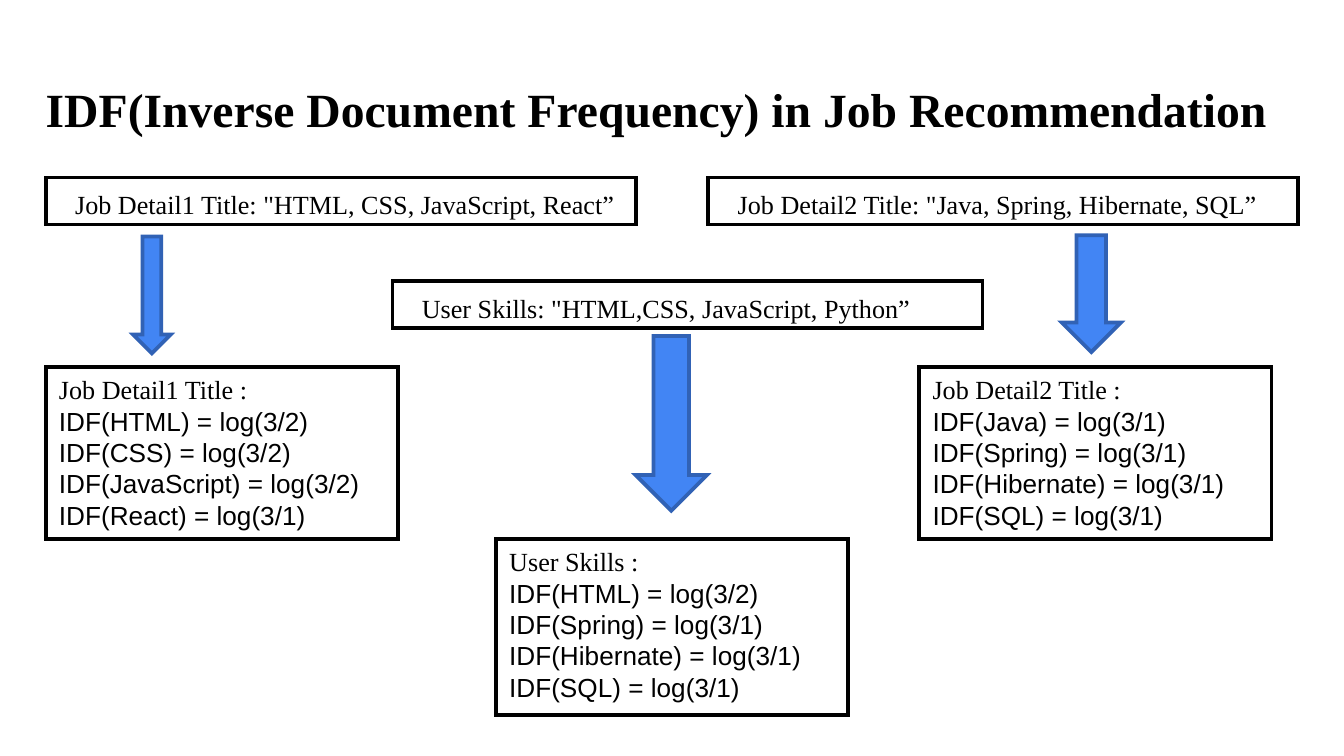
from lxml.etree import SubElement
from pptx import Presentation
from pptx.dml.color import RGBColor
from pptx.enum.shapes import MSO_SHAPE as Preset
from pptx.enum.text import MSO_ANCHOR as Anchor, MSO_AUTO_SIZE as AutoSize, PP_ALIGN as Align
from pptx.oxml.ns import qn
from pptx.util import Inches, Pt

COLORS = {"text": "000000", "paper": "FFFFFF", "arrow": "4285F4", "arrow_edge": "3162B5"}
SERIF, SANS = "Times New Roman", "Arial"
MARGIN = 0.34
HEADER_WIDTH, HEADER_HEIGHT = 4.39, 0.35
DETAIL_WIDTH = 2.62


class SlideBuilder:
    def __init__(self, slide):
        self.slide = slide

    def color(self, name):
        return RGBColor.from_string(COLORS[name])

    def style_text(self, paragraph, text, font_name, size=14, bold=False):
        paragraph.text = text
        paragraph.alignment = Align.LEFT
        font = paragraph.font
        font.name, font.size, font.bold = font_name, Pt(size), bold
        font.color.rgb = self.color("text")

    def title(self, text):
        shape = self.slide.shapes.title
        shape.left, shape.top = Inches(MARGIN), Inches(0.49)
        shape.width, shape.height = Inches(9.32), Inches(0.63)
        frame = shape.text_frame
        frame.margin_left = frame.margin_right = 0
        frame.margin_top = frame.margin_bottom = Inches(0.1)
        frame.vertical_anchor = Anchor.MIDDLE
        frame.word_wrap = True
        self.style_text(frame.paragraphs[0], text, SERIF, 25.5, True)

    def shape(self, preset, left, top, width, height, fill, line):
        shape = self.slide.shapes.add_shape(
            preset, Inches(left), Inches(top), Inches(width), Inches(height))
        shape.shadow.inherit = False
        shape.fill.solid()
        shape.fill.fore_color.rgb = self.color(fill)
        shape.line.color.rgb = self.color(line)
        shape.line.width = Pt(2)
        SubElement(shape.element.spPr.find(qn("a:ln")), qn("a:miter"), lim="800000")
        return shape

    def box(self, left, top, width, height):
        frame = self.shape(Preset.RECTANGLE, left, top, width, height, "paper", "text").text_frame
        frame.word_wrap = True
        frame.auto_size = AutoSize.SHAPE_TO_FIT_TEXT
        frame.vertical_anchor = Anchor.TOP
        return frame

    def header(self, left, top, text):
        paragraph = self.box(left, top, HEADER_WIDTH, HEADER_HEIGHT).paragraphs[0]
        self.style_text(paragraph, text, SERIF)
        paragraph.line_spacing = 1.15
        paragraph._p.get_or_add_pPr().set("marL", str(Inches(0.12)))

    def detail(self, left, top, height, heading, *formulas):
        frame = self.box(left, top, DETAIL_WIDTH, height)
        self.style_text(frame.paragraphs[0], heading, SERIF)
        for formula in formulas:
            self.style_text(frame.add_paragraph(), formula, SANS)

    def arrow(self, left, top, width, height):
        self.shape(Preset.DOWN_ARROW, left, top, width, height, "arrow", "arrow_edge")


def main():
    presentation = Presentation()
    presentation.slide_width = Inches(10)
    presentation.slide_height = Inches(10) * 9 // 16
    builder = SlideBuilder(presentation.slides.add_slide(presentation.slide_layouts[5]))
    builder.title("IDF(Inverse Document Frequency) in Job Recommendation")

    details = [
        (MARGIN, 2.73, 1.28, "Job Detail1 Title :",
         "IDF(HTML) = log(3/2) IDF(CSS) = log(3/2) IDF(JavaScript) = log(3/2) IDF(React) = log(3/1)"),
        (6.84, 2.73, 1.28, "Job Detail2 Title :",
         "IDF(Java) = log(3/1) IDF(Spring) = log(3/1) IDF(Hibernate) = log(3/1) IDF(SQL) = log(3/1)"),
        (3.69, 4.01, 1.31, "User Skills :",
         "IDF(HTML) = log(3/2)",
         "IDF(Spring) = log(3/1) IDF(Hibernate) = log(3/1) IDF(SQL) = log(3/1)"),
    ]
    for detail in details:
        builder.detail(*detail)

    headers = [
        (10 - MARGIN - HEADER_WIDTH, 1.32, 'Job Detail2 Title: "Java, Spring, Hibernate, SQL”'),
        (MARGIN, 1.32, 'Job Detail1 Title: "HTML, CSS, JavaScript, React”'),
        (2.92, 2.09, 'User Skills: "HTML,CSS, JavaScript, Python”'),
    ]
    for header in headers:
        builder.header(*header)

    arrows = [(4.73, 2.5, 0.53, 1.3), (7.9, 1.75, 0.44, 0.87), (0.99, 1.76, 0.28, 0.87)]
    for arrow in arrows:
        builder.arrow(*arrow)

    presentation.save("out.pptx")


if __name__ == "__main__":
    main()
